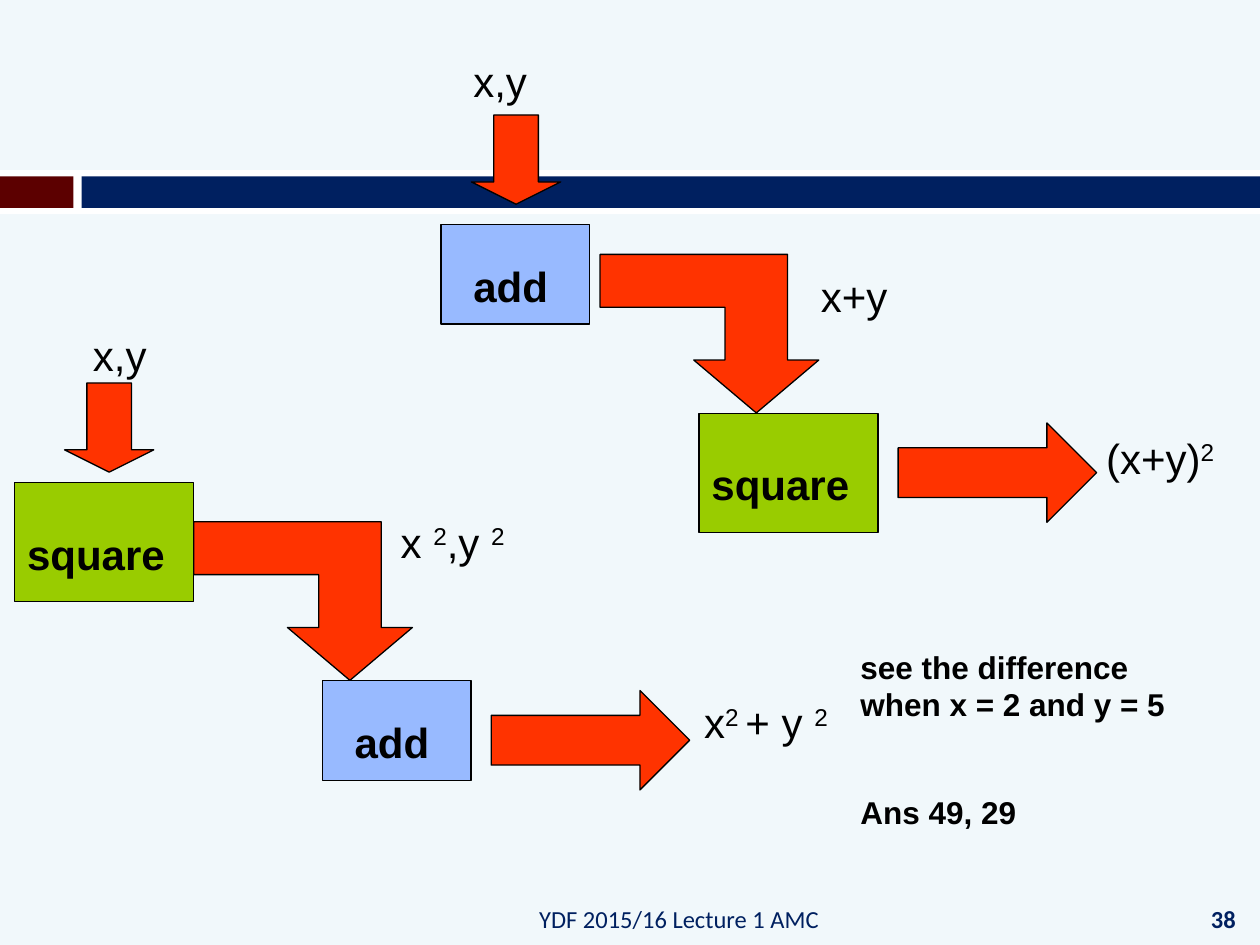
"""Builds a slide contrasting add-then-square with square-then-add."""
from pptx import Presentation
from pptx.dml.color import RGBColor
from pptx.enum.shapes import MSO_SHAPE
from pptx.enum.text import MSO_ANCHOR, PP_ALIGN
from pptx.util import Pt

COLORS = {
    "background": "F1F8FB", "white": "FFFFFF", "maroon": "5C0000", "navy": "002060",
    "add": "98BAFF", "square": "99CC00", "arrow": "FF3300", "black": "000000",
}
BOX_SIZES = {"add": (85, 57), "square": (102.2, 68.2)}
ELBOW_CORNERS = [(5, 3), (3, 2), (4, 2), (4, 1), (0, 1), (0, 0), (6, 0), (6, 2), (7, 2)]
ELBOW_UNIT = (17.86, 30.2)


class FlowSlide:
    """Holds the style and the current slide."""

    def __init__(self, slide):
        self.slide = slide
        slide.background.fill.solid()
        slide.background.fill.fore_color.rgb = self.color("background")

    def color(self, name):
        return RGBColor.from_string(COLORS[name])

    def paint(self, shape, fill, outlined=True):
        shape.shadow.inherit = False
        shape.fill.solid()
        shape.fill.fore_color.rgb = self.color(fill)
        if outlined:
            shape.line.color.rgb = self.color("black")
            shape.line.width = Pt(0.75)
        else:
            shape.line.fill.background()

    def preset(self, kind, left, top, width, height, fill, outlined=True):
        shape = self.slide.shapes.add_shape(kind, Pt(left), Pt(top), Pt(width), Pt(height))
        self.paint(shape, fill, outlined)
        return shape

    def band(self, left, top, width, height, fill):
        self.preset(MSO_SHAPE.RECTANGLE, left, top, width, height, fill, outlined=False)

    def box(self, name, left, top):
        self.preset(MSO_SHAPE.RECTANGLE, left, top, *BOX_SIZES[name], name)

    def down_arrow(self, left, top):
        arrow = self.preset(MSO_SHAPE.DOWN_ARROW, left, top, 51, 51, "arrow")
        arrow.adjustments[1] = 0.25

    def right_arrow(self, left, top):
        self.preset(MSO_SHAPE.RIGHT_ARROW, left, top, 113.4, 56.8, "arrow")

    def elbow_arrow(self, left, top):
        across, down = ELBOW_UNIT
        corners = [(Pt(left + x * across), Pt(top + y * down)) for x, y in ELBOW_CORNERS]
        builder = self.slide.shapes.build_freeform(*corners[0])
        builder.add_line_segments(corners[1:], close=True)
        self.paint(builder.convert_to_shape(), "arrow")

    def text(self, left, top, width, height, paragraphs, size=24, bold=False, font="Arial",
             color="black", align=PP_ALIGN.LEFT, anchor=MSO_ANCHOR.TOP, gap=0):
        frame = self.slide.shapes.add_textbox(
            Pt(left), Pt(top), Pt(width), Pt(height)).text_frame
        frame.word_wrap = True
        frame.vertical_anchor = anchor
        for index, parts in enumerate(paragraphs):
            paragraph = frame.add_paragraph() if index else frame.paragraphs[0]
            paragraph.alignment = align
            if index:
                paragraph.space_before = Pt(gap)
            for position, part in enumerate(parts):
                run = paragraph.add_run()
                run.text = part
                run.font.name = font
                run.font.size = Pt(size)
                run.font.bold = bold
                run.font.color.rgb = self.color(color)
                if position % 2:
                    run.font._element.set("baseline", "30000")

    def label(self, left, top, width, *parts, bold=False):
        self.text(left, top, width, 36, [parts], bold=bold)


def main():
    presentation = Presentation()
    presentation.slide_width, presentation.slide_height = Pt(720), Pt(540)
    flow = FlowSlide(presentation.slides.add_slide(presentation.slide_layouts[6]))

    flow.band(0, 97.2, 720, 25.2, "white")
    flow.band(0, 100.8, 42, 18, "maroon")
    flow.band(46.6, 100.8, 673.4, 18, "navy")

    footer = {"size": 14, "font": "Calibri", "color": "navy", "anchor": MSO_ANCHOR.MIDDLE}
    flow.text(48.2, 510.5, 427, 28.8, [["YDF 2015/16 Lecture 1 AMC"]],
              align=PP_ALIGN.RIGHT, **footer)
    flow.text(678.2, 509.8, 41.8, 30.2, [["38"]], bold=True, align=PP_ALIGN.CENTER, **footer)

    flow.box("add", 252, 128.2)
    flow.box("square", 399.5, 236.2)
    flow.elbow_arrow(342.9, 145.4)
    flow.right_arrow(513.2, 241.7)
    flow.down_arrow(269.4, 65.7)
    flow.label(263.4, 145.4, 67.7, "add", bold=True)
    flow.label(399.5, 258.5, 108, "square", bold=True)
    flow.label(263.4, 28.2, 61.2, "x,y")
    flow.label(462, 151.2, 76.3, "x+y")
    flow.label(625, 243.4, 86.4, "(x+y)", "2")

    flow.box("add", 184.2, 389)
    flow.box("square", 8.4, 275.7)
    flow.elbow_arrow(110.7, 298.2)
    flow.right_arrow(280.7, 394.6)
    flow.down_arrow(36.9, 218.8)
    flow.label(195.6, 406, 67.7, "add", bold=True)
    flow.label(8.4, 298.2, 108, "square", bold=True)
    flow.label(46, 185, 60.5, "x,y")
    flow.label(221.8, 291.6, 82.8, "x ", "2", ",y ", "2")
    flow.label(395.3, 394.6, 95, "x", "2 ", "+ y ", "2")

    flow.text(484.6, 366.5, 198.7, 115.2,
              [["see the difference when x = 2 and y = 5"], ["Ans 49, 29"]],
              size=18, bold=True, gap=40)
    presentation.save("out.pptx")


if __name__ == "__main__":
    main()
